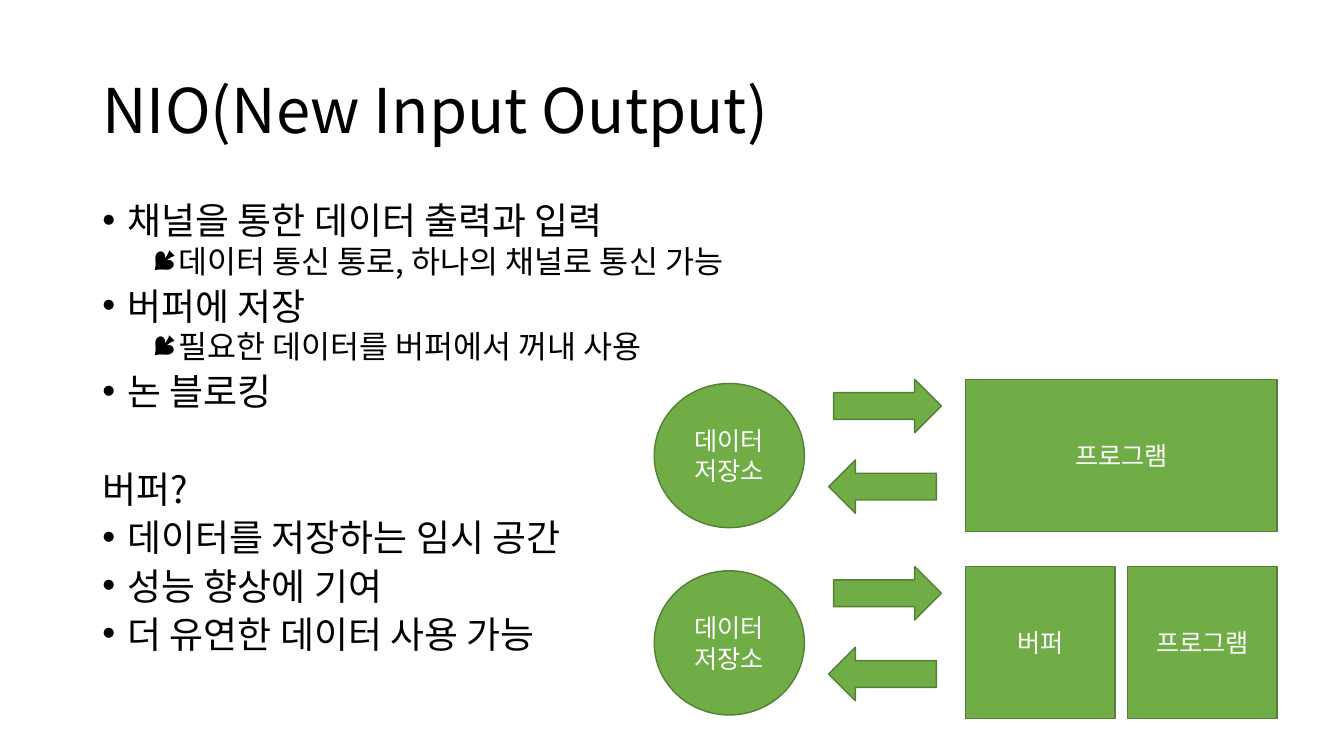
from dataclasses import dataclass

from lxml.etree import SubElement
from pptx import Presentation
from pptx.dml.color import RGBColor
from pptx.enum.shapes import MSO_SHAPE
from pptx.enum.text import MSO_ANCHOR, MSO_AUTO_SIZE, PP_ALIGN
from pptx.oxml.ns import qn
from pptx.util import Pt


@dataclass(frozen=True)
class Theme:
    """Colours, fonts and type sizes of the deck."""
    font: str = "Noto Sans CJK KR"
    bullet_font: str = "Arial"
    arrow_font: str = "Wingdings"
    ink: RGBColor = RGBColor(0, 0, 0)
    light: RGBColor = RGBColor(255, 255, 255)
    green: RGBColor = RGBColor(0x70, 0xAD, 0x47)
    edge: RGBColor = RGBColor(0x53, 0x80, 0x35)
    title: float = 44
    point: float = 26.4
    detail: float = 22.5
    label: float = 18


THEME = Theme()
POINTS = [
    ("•", "채널을 통한 데이터 출력과 입력"),
    ("⇒", "데이터 통신 통로, 하나의 채널로 통신 가능"),
    ("•", "버퍼에 저장"),
    ("⇒", "필요한 데이터를 버퍼에서 꺼내 사용"),
    ("•", "논 블로킹"),
    ("", "버퍼?"),
    ("•", "데이터를 저장하는 임시 공간"),
    ("•", "성능 향상에 기여"),
    ("•", "더 유연한 데이터 사용 가능"),
]


def place(shape, box):
    """Move a shape to a box of left, top, width and height in points."""
    shape.left, shape.top, shape.width, shape.height = map(Pt, box)


def style_runs(para, size, color):
    """Format every run of a paragraph for Latin and Korean text."""
    for span in para.runs:
        span.font.name = THEME.font
        span.font.size = Pt(size)
        span.font.color.rgb = color
        SubElement(span.font._element, qn("a:ea"), typeface=THEME.font)


def set_bullet(para, mark, margin):
    """Give a paragraph a hanging bullet, or none when the mark is empty."""
    properties = para._p.get_or_add_pPr()
    properties.set("marL", str(Pt(margin)))
    properties.set("indent", str(Pt(-18 if mark else 0)))
    if mark:
        typeface = THEME.arrow_font if mark == "⇒" else THEME.bullet_font
        SubElement(properties, qn("a:buFont"), typeface=typeface)
        SubElement(properties, qn("a:buChar"), char=mark)
    else:
        SubElement(properties, qn("a:buNone"))


def add_title(page, box, text):
    """Fill the title placeholder."""
    title = page.shapes.title
    place(title, box)
    frame = title.text_frame
    frame.text = text
    frame.auto_size = MSO_AUTO_SIZE.NONE
    frame.vertical_anchor = MSO_ANCHOR.MIDDLE
    para = frame.paragraphs[0]
    para.alignment = PP_ALIGN.LEFT
    para.line_spacing = 0.9
    style_runs(para, THEME.title, THEME.ink)


def add_points(page, box, points):
    """Fill the body placeholder with two levels of points and a heading."""
    body = page.placeholders[1]
    place(body, box)
    frame = body.text_frame
    frame.text = "\n".join(text for mark, text in points)
    frame.auto_size = MSO_AUTO_SIZE.NONE
    for para, (mark, text) in zip(frame.paragraphs, points):
        detail = mark == "⇒"
        para.level = int(detail)
        para.line_spacing = 0.8
        para.space_before = Pt({"•": 9, "⇒": 5, "": 45}[mark])
        set_bullet(para, mark, {"•": 18, "⇒": 54, "": 0}[mark])
        style_runs(para, THEME.detail if detail else THEME.point, THEME.ink)


def add_block(page, kind, box, text=""):
    """Draw one green shape with an optional centred label."""
    block = page.shapes.add_shape(kind, *map(Pt, box))
    block.shadow.inherit = False
    block.fill.solid()
    block.fill.fore_color.rgb = THEME.green
    block.line.color.rgb = THEME.edge
    block.line.width = Pt(1)
    if text:
        block.text_frame.text = text
        block.text_frame.vertical_anchor = MSO_ANCHOR.MIDDLE
        for para in block.text_frame.paragraphs:
            para.alignment = PP_ALIGN.CENTER
            style_runs(para, THEME.label, THEME.light)
    return block


def add_flow(page, box, targets):
    """Draw a data store exchanging data with a row of equal target blocks."""
    left, top, width, height = box
    add_block(page, MSO_SHAPE.OVAL, (left, top + 3, 107.3, 103), "데이터\n저장소")
    add_block(page, MSO_SHAPE.RIGHT_ARROW, (left + 128.2, top, 77, 38.2))
    back = add_block(page, MSO_SHAPE.RIGHT_ARROW, (left + 124.6, top + 57.6, 77, 38.2))
    back.rotation = 180
    start, gap = 222.5, 9
    target_width = (width - start - gap * (len(targets) - 1)) / len(targets)
    for index, name in enumerate(targets):
        target_left = left + start + index * (target_width + gap)
        add_block(page, MSO_SHAPE.RECTANGLE, (target_left, top, target_width, height), name)


def main():
    """Build the slide and save the deck."""
    deck = Presentation()
    deck.slide_width, deck.slide_height = Pt(960), Pt(540)
    page = deck.slides.add_slide(deck.slide_layouts[1])
    add_title(page, (66, 28.8, 828, 104.4), "NIO(New Input Output)")
    add_points(page, (66, 143.8, 828, 342.6), POINTS)
    for row, targets in enumerate([["프로그램"], ["버퍼", "프로그램"]]):
        add_flow(page, (467.3, 270.9 + row * 133.8, 445, 108.7), targets)
    deck.save("out.pptx")


if __name__ == "__main__":
    main()
